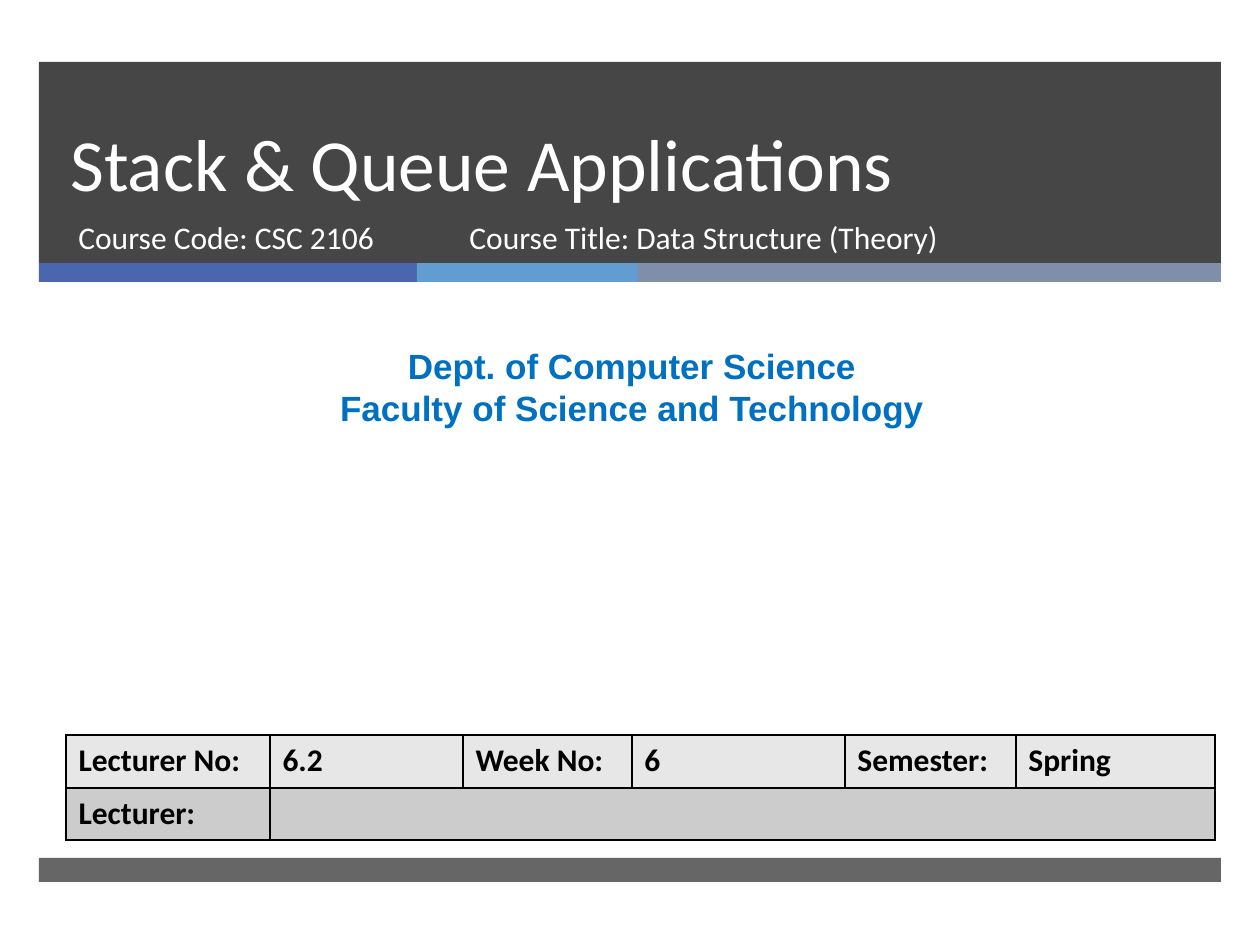
from dataclasses import dataclass

from lxml import etree
from pptx import Presentation
from pptx import util as u
from pptx.dml.color import RGBColor
from pptx.enum import shapes, text
from pptx.oxml import ns

PX = 914400 / 126


@dataclass(frozen=True)
class Theme:
    dark: str = "262626"
    bars: tuple = ("4A66AC", "629DD1", "7F8FA9")
    rows: tuple = ("E7E7E7", "CCCCCC")
    white: str = "FFFFFF"
    black: str = "000000"
    blue: str = "0070C0"
    font: str = "Calibri"
    sans: str = "Arial"
    title: int = 42
    head: int = 20
    body: int = 18


def emu(px):
    return u.Emu(round(px * PX))


def sub(node, tag, **attrs):
    return etree.SubElement(node, ns.qn(tag), attrs)


class Deck:
    def __init__(self, theme, slide):
        self.theme = theme
        self.slide = slide

    def bar(self, x, y, w, h, color, alpha=100):
        box = self.slide.shapes.add_shape(
            shapes.MSO_SHAPE.RECTANGLE, *map(emu, (x, y, w, h)))
        box.shadow.inherit = False
        box.fill.solid()
        box.fill.fore_color.rgb = RGBColor.from_string(color)
        box.line.fill.background()
        if alpha < 100:
            tint = box._element.spPr.find(".//" + ns.qn("a:srgbClr"))
            sub(tint, "a:alpha", val=str(alpha * 1000))

    def words(self, para, line, size, color, font=None, bold=False):
        run = para.add_run()
        run.text = line
        run.font.size = u.Pt(size)
        run.font.name = font or self.theme.font
        run.font.bold = bold
        run.font.color.rgb = RGBColor.from_string(color)

    def label(self, x, y, w, h, lines, size, color, font=None, bold=False,
              align=text.PP_ALIGN.LEFT, anchor=text.MSO_ANCHOR.TOP, pitch=None):
        frame = self.slide.shapes.add_textbox(*map(emu, (x, y, w, h))).text_frame
        frame.word_wrap = True
        frame.vertical_anchor = anchor
        for i, line in enumerate(lines):
            para = frame.add_paragraph() if i else frame.paragraphs[0]
            para.alignment = align
            if pitch:
                para.line_spacing = u.Pt(pitch)
            self.words(para, line, size, color, font, bold)

    def edge(self, cell):
        props = cell._tc.get_or_add_tcPr()
        for i, side in enumerate(("a:lnL", "a:lnR", "a:lnT", "a:lnB")):
            line = etree.Element(ns.qn(side), w=str(u.Pt(1)))
            sub(sub(line, "a:solidFill"), "a:srgbClr", val=self.theme.black)
            props.insert(i, line)

    def table(self, x, y, cols, rows, data):
        grid = self.slide.shapes.add_table(
            len(rows), len(cols),
            *map(emu, (x, y, sum(cols), sum(rows)))).table
        for col, wide in zip(grid.columns, cols):
            col.width = emu(wide)
        for r, (row, tall) in enumerate(zip(grid.rows, rows)):
            row.height = emu(tall)
            for c, cell in enumerate(row.cells):
                cell.fill.solid()
                cell.fill.fore_color.rgb = RGBColor.from_string(self.theme.rows[r])
                self.edge(cell)
                if c < len(data[r]):
                    self.words(cell.text_frame.paragraphs[0], data[r][c],
                               self.theme.body, self.theme.black, bold=True)
        grid.cell(1, 1).merge(grid.cell(1, len(cols) - 1))


def main():
    show = Presentation()
    show.slide_width, show.slide_height = u.Inches(10), u.Inches(7.5)
    look = Theme()
    deck = Deck(look, show.slides.add_slide(show.slide_layouts[6]))

    # Banner, colour strip and footer
    left, wide = 39, 1182
    deck.bar(left, 62, wide, 202, look.dark, 85)
    x = left
    for w, color in zip((378, 221, 583), look.bars):
        deck.bar(x, 263, w, 19, color)
        x += w
    deck.bar(left, 858, wide, 24, look.dark, 70)

    # Title and course details
    deck.label(58, 62, 1076, 150, ["Stack & Queue Applications"], look.title,
               look.white, anchor=text.MSO_ANCHOR.BOTTOM, pitch=46)
    deck.label(66, 212, 384, 67, ["Course Code: CSC 2106"],
               look.body, look.white)
    deck.label(457, 212, 573, 67, ["Course Title: Data Structure (Theory)"],
               look.body, look.white)

    # Department
    deck.label(10, 338, 1244, 97,
               ["Dept. of Computer Science", "Faculty of Science and Technology"],
               look.head, look.blue, look.sans, True, text.PP_ALIGN.CENTER)

    # Lecture facts
    deck.table(66, 735, (204, 193, 169, 213, 171, 199), (53, 52), (
        ("Lecturer No:", "6.2", "Week No:", "6", "Semester:", "Spring"),
        ("Lecturer:",)))

    show.save("out.pptx")


if __name__ == "__main__":
    main()
